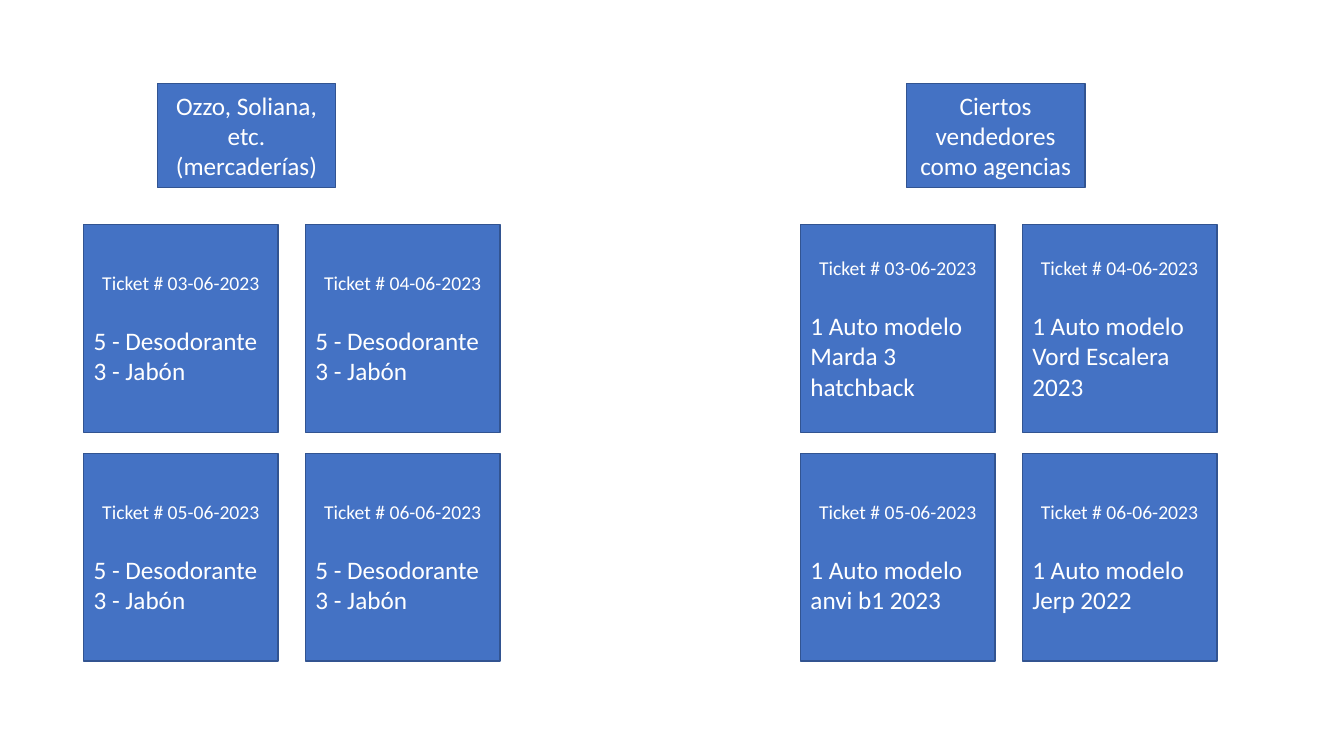
from pptx import Presentation
from pptx.dml.color import RGBColor
from pptx.enum.shapes import MSO_SHAPE
from pptx.enum.text import MSO_ANCHOR, PP_ALIGN
from pptx.util import Inches, Pt

COLORS = {"box": "4472C4", "border": "325491", "text": "FFFFFF"}
FONT = "Calibri"
HEADER_SIZE = (1.77, 1.03)
TICKET_SIZE = (1.93, 2.06)
TICKET_STEP = (2.2, 2.27)
HEADER_TOP, TICKETS_TOP = 0.83, 2.23
DATES = ["03-06-2023", "04-06-2023", "05-06-2023", "06-06-2023"]


def color(name):
    return RGBColor.from_string(COLORS[name])


def add_box(slide, left, top, size, lines):
    """Draw a box; each line is (text, points, alignment, space before)."""
    box = slide.shapes.add_shape(MSO_SHAPE.RECTANGLE, Inches(left), Inches(top),
                                 Inches(size[0]), Inches(size[1]))
    box.shadow.inherit = False
    box.fill.solid()
    box.fill.fore_color.rgb = color("box")
    box.line.color.rgb = color("border")
    box.line.width = Pt(1)
    frame = box.text_frame
    frame.word_wrap = True
    frame.vertical_anchor = MSO_ANCHOR.MIDDLE
    for index, (text, points, align, before) in enumerate(lines):
        paragraph = frame.add_paragraph() if index else frame.paragraphs[0]
        paragraph.alignment = align
        paragraph.space_before = Pt(before)
        run = paragraph.add_run()
        run.text = text
        run.font.name = FONT
        run.font.size = Pt(points)
        run.font.color.rgb = color("text")


def add_ticket(slide, left, top, date, items):
    lines = [(f"Ticket # {date}", 14, PP_ALIGN.CENTER, 0)]
    for index, item in enumerate(items):
        # The first item stands one line below the ticket number
        lines.append((item, 18, PP_ALIGN.LEFT, 0 if index else 22))
    add_box(slide, left, top, TICKET_SIZE, lines)


def add_seller_group(slide, left, header_offset, seller, purchases):
    # Kind of seller
    add_box(slide, left + header_offset, HEADER_TOP, HEADER_SIZE,
            [(seller, 18, PP_ALIGN.CENTER, 0)])
    # Two-by-two grid of tickets
    for index, (date, items) in enumerate(zip(DATES, purchases)):
        row, column = divmod(index, 2)
        add_ticket(slide, left + column * TICKET_STEP[0],
                   TICKETS_TOP + row * TICKET_STEP[1], date, items)


presentation = Presentation()
presentation.slide_width = Inches(13.33)
presentation.slide_height = Inches(7.5)
slide = presentation.slides.add_slide(presentation.slide_layouts[6])

# Grocery stores: the same purchase every day
groceries = [["5 - Desodorante", "3 - Jabón"]] * len(DATES)
add_seller_group(slide, 0.83, 0.73, "Ozzo, Soliana, etc. (mercaderías)", groceries)

# Car dealers: one car per ticket
models = ["Marda 3 hatchback", "Vord Escalera 2023", "anvi b1 2023", "Jerp 2022"]
cars = [[f"1 Auto modelo {model}"] for model in models]
add_seller_group(slide, 7.94, 1.05, "Ciertos vendedores como agencias", cars)

presentation.save("out.pptx")
